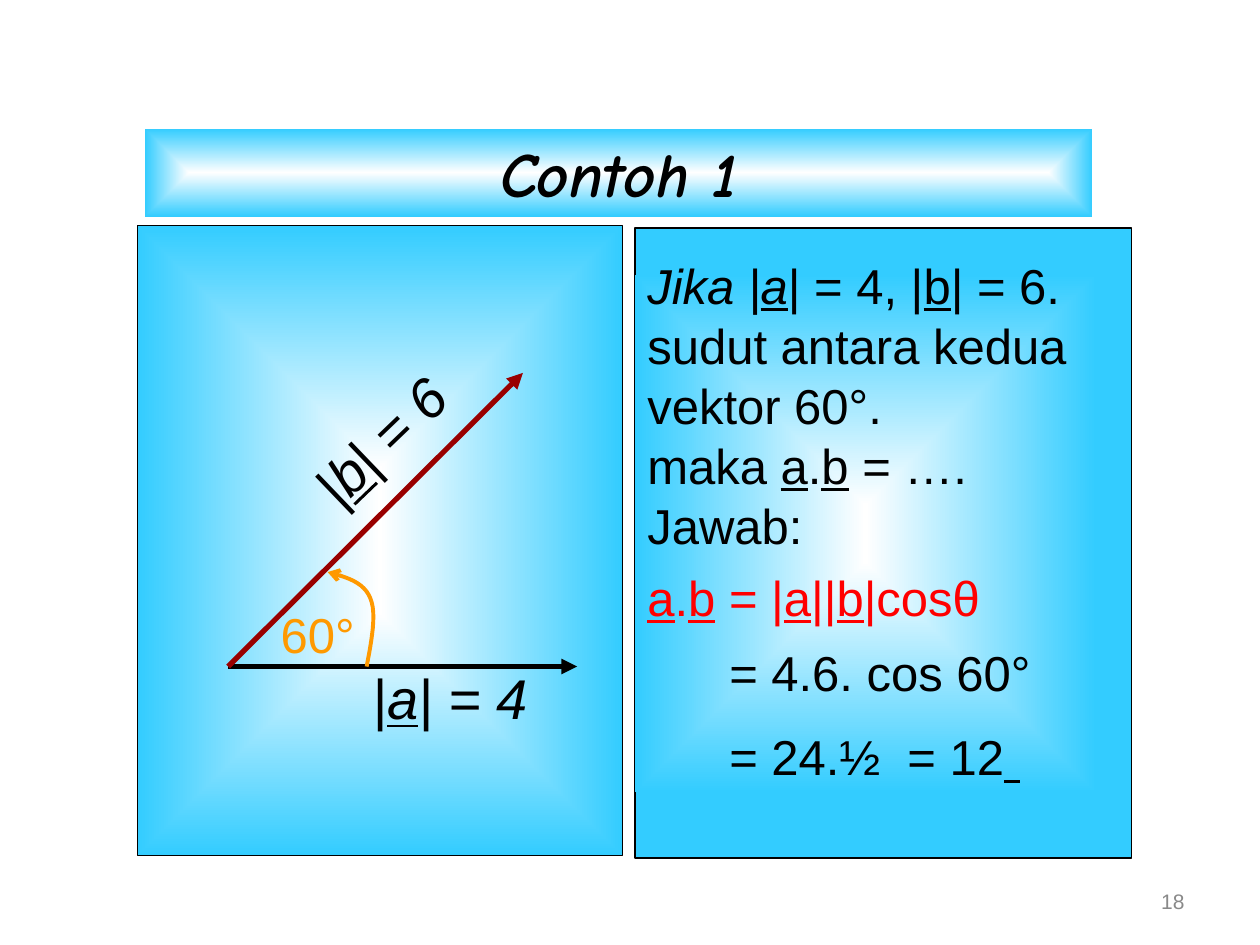
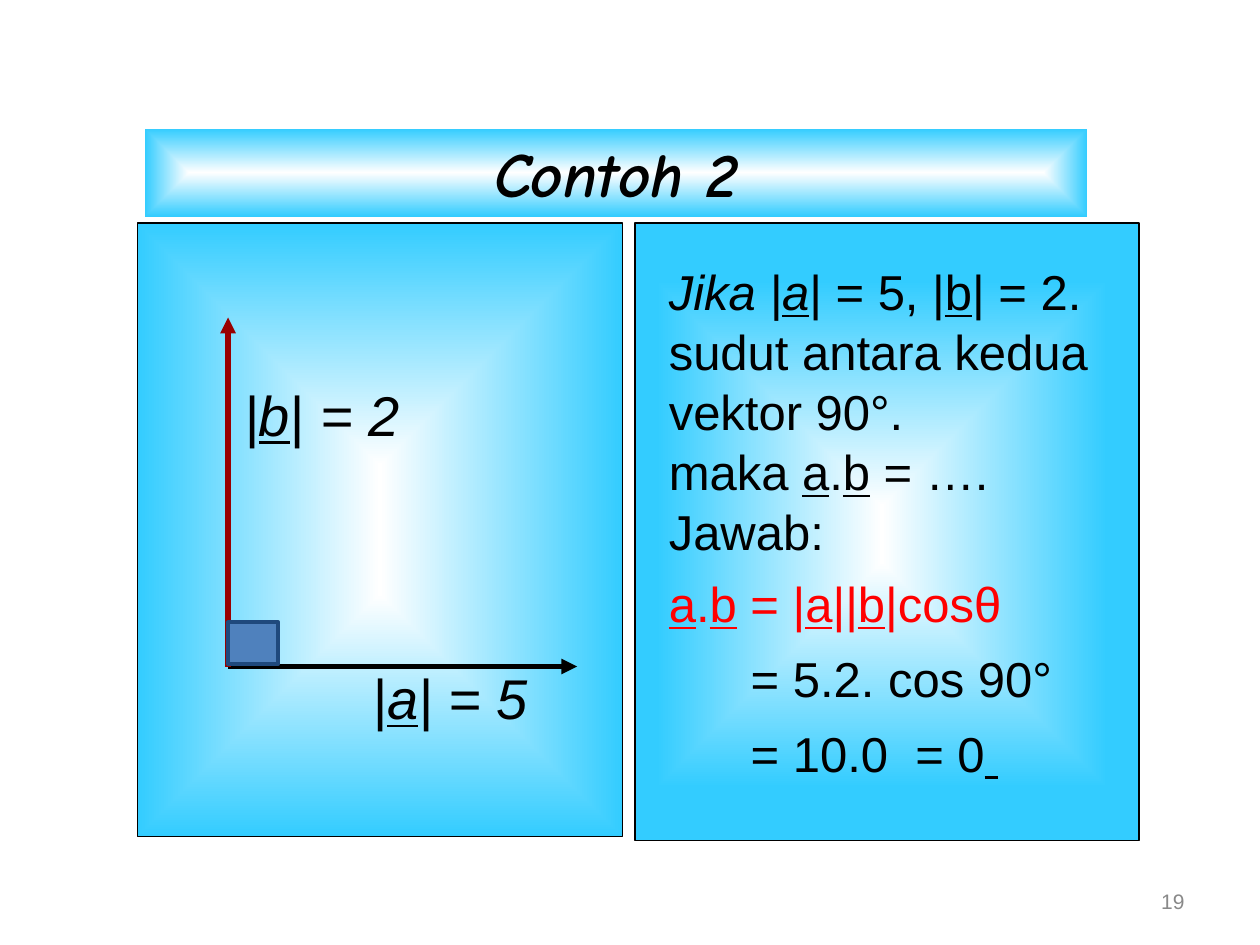
from lxml import etree
from pptx import Presentation
from pptx.dml.color import RGBColor
from pptx.enum.shapes import MSO_CONNECTOR as LINE, MSO_SHAPE as SHAPE
from pptx.enum.text import MSO_ANCHOR as ANCHOR, MSO_AUTO_SIZE as AUTO, PP_ALIGN as ALIGN
from pptx.oxml import parse_xml
from pptx.oxml.ns import nsdecls, qn
from pptx.util import Inches, Pt

BLACK = RGBColor(0x00, 0x00, 0x00)
WHITE = RGBColor(0xFF, 0xFF, 0xFF)
SKY = RGBColor(0x33, 0xCC, 0xFF)
MAROON = RGBColor(0x99, 0x00, 0x00)
ORANGE = RGBColor(0xFF, 0x99, 0x00)
RED = RGBColor(0xFF, 0x00, 0x00)
GRAY = RGBColor(0x89, 0x89, 0x89)
BLUE = RGBColor(0x4F, 0x81, 0xBD)
NAVY = RGBColor(0x1F, 0x49, 0x7D)

BODY_FONT = "Arial"
TITLE_FONT = "Comic Neue"
ORIGIN = (1.81, 5.29)
STEP_INDENT = 0.65


def bezier(p0, p1, p2, p3, steps=12):
    """Points along a cubic curve, without its start."""
    for i in range(1, steps + 1):
        t = i / steps
        u = 1 - t
        yield tuple(u**3 * a + 3 * u * u * t * b + 3 * u * t * t * c + t**3 * d
                    for a, b, c, d in zip(p0, p1, p2, p3))


class Deck:
    def __init__(self):
        self.prs = Presentation()
        self.prs.slide_width, self.prs.slide_height = Inches(10), Inches(7.5)
        self.slide = None

    # Frame of a slide
    def new_slide(self, title, title_width, number):
        self.slide = self.prs.slides.add_slide(self.prs.slide_layouts[5])
        sp = self.slide.shapes.title
        sp.left, sp.top = Inches(1.15), Inches(1.02)
        sp.width, sp.height = Inches(title_width), Inches(0.7)
        self.glow(sp)
        tf = self.frame(sp)
        tf.text = title
        p = tf.paragraphs[0]
        p.alignment = ALIGN.CENTER
        self.style(p.runs[0], 36, BLACK, TITLE_FONT)
        p.runs[0].font.bold = p.runs[0].font.italic = True
        tf = self.label(str(number), (7.17, 6.95, 2.33, 0.4), 12, GRAY)
        tf.vertical_anchor = ANCHOR.MIDDLE
        tf.paragraphs[0].alignment = ALIGN.RIGHT

    # Text
    def frame(self, sp):
        tf = sp.text_frame
        tf.word_wrap, tf.auto_size = True, AUTO.NONE
        tf.vertical_anchor = ANCHOR.TOP
        return tf

    def style(self, r, size, color, font=BODY_FONT):
        r.font.name, r.font.size, r.font.color.rgb = font, Pt(size), color

    def add_runs(self, p, text, size, color):
        """Fill a paragraph; *...* is italic and _..._ is underlined."""
        for i, part in enumerate(text.split("*")):
            for j, piece in enumerate(part.split("_")):
                if piece:
                    r = p.add_run()
                    r.text = piece
                    self.style(r, size, color)
                    r.font.italic, r.font.underline = i % 2 == 1, j % 2 == 1

    def label(self, text, box, size=32, color=BLACK, rotation=0):
        sp = self.slide.shapes.add_textbox(*map(Inches, box))
        sp.rotation = rotation
        tf = self.frame(sp)
        self.add_runs(tf.paragraphs[0], text, size, color)
        return tf

    def solution(self, box, question, steps, last_gap=17.5, tail_size=28):
        tf = self.frame(self.rect(box))
        lines = [(text, BLACK, 0.5, 0) for text in question]
        lines.append(("_a_._b_ = |_a_||_b_|cosθ", RED, 0.75, 0))
        lines += [(text, BLACK, 0.75, STEP_INDENT) for text in steps]
        for i, (text, color, spacing, indent) in enumerate(lines):
            p = tf.add_paragraph() if i else tf.paragraphs[0]
            p.alignment, p.line_spacing = ALIGN.LEFT, spacing
            if i:
                p.space_before = Pt(17.5)
            if indent:
                p._p.get_or_add_pPr().set("marL", str(Inches(indent)))
            self.add_runs(p, text, 28, color)
        p.space_before = Pt(last_gap)
        p.runs[-1].font.size = Pt(tail_size)

    # Shapes
    def glow(self, sp):
        sp.fill.solid()
        stops = "".join(f'<a:gs pos="{pos}"><a:srgbClr val="{color}"/></a:gs>'
                        for pos, color in ((0, WHITE), (100000, SKY)))
        grad = parse_xml(
            f'<a:gradFill {nsdecls("a")} rotWithShape="1"><a:gsLst>{stops}</a:gsLst>'
            '<a:path path="rect"><a:fillToRect l="50000" t="50000" r="50000" b="50000"/>'
            '</a:path></a:gradFill>')
        spPr = sp.element.spPr
        spPr.replace(spPr.find(qn("a:solidFill")), grad)

    def rect(self, box, fill=None, line=None, width=0.75):
        """Rectangle with a plain fill, or the glow when none is given."""
        sp = self.slide.shapes.add_shape(SHAPE.RECTANGLE, *map(Inches, box))
        sp.shadow.inherit = False
        if fill is None:
            self.glow(sp)
        else:
            sp.fill.solid()
            sp.fill.fore_color.rgb = fill
        if line is None:
            sp.line.fill.background()
        else:
            sp.line.color.rgb, sp.line.width = line, Pt(width)
        return sp

    def arrowhead(self, sp, kind):
        ln = sp.line._get_or_add_ln()
        etree.SubElement(ln, qn("a:tailEnd"), type=kind)

    def vector(self, end, color):
        sp = self.slide.shapes.add_connector(
            LINE.STRAIGHT, *map(Inches, ORIGIN + end))
        sp.line.color.rgb, sp.line.width = color, Pt(3)
        self.arrowhead(sp, "triangle")
        etree.SubElement(sp.element.spPr, qn("a:effectLst"))

    def angle_arc(self):
        start, middle, end = (2.91, 5.29), (2.94, 4.75), (2.6, 4.54)
        points = [*bezier(start, (2.95, 5.08), (2.99, 4.87), middle),
                  *bezier(middle, (2.89, 4.62), (2.75, 4.58), end)]
        fb = self.slide.shapes.build_freeform(*map(Inches, start))
        fb.add_line_segments([tuple(map(Inches, pt)) for pt in points], close=False)
        sp = fb.convert_to_shape()
        sp.shadow.inherit = False
        sp.fill.background()
        sp.line.color.rgb, sp.line.width = ORANGE, Pt(2.25)
        self.arrowhead(sp, "arrow")

    # Parts of every example
    def example(self, number, title_width, left_panel, right_panel, a, b_end):
        self.new_slide(f"Contoh {number}", title_width, 17 + number)
        self.rect(left_panel, line=BLACK)
        self.rect(right_panel, SKY, BLACK)
        self.vector((4.58, 5.29), BLACK)
        self.vector(b_end, MAROON)
        self.label(f"*|_a_| = {a}*", (2.86, 5.22, 1.63, 0.64))


def question(a, b, angle):
    return [f"*Jika |_a_*| = {a}, |_b_| = {b}.", "sudut antara kedua",
            f"vektor {angle}°.", "maka _a_._b_ = ….", "Jawab:"]


def main():
    deck = Deck()

    # Example 1: vectors at 60°
    deck.example(1, 7.52, (1.09, 1.79, 3.85, 5), (5.04, 1.81, 3.94, 5),
                 4, (4.15, 2.96))
    deck.label("60°", (2.13, 4.75, 0.83, 0.57), 28, ORANGE)
    deck.angle_arc()
    deck.solution((5.04, 2.18, 3.66, 4.11), question(4, 6, 60),
                  ["= 4.6. cos 60°", "= 24.½  = 12_ _"], last_gap=20, tail_size=32)
    deck.label("*|_b_| = 6*", (2.28, 3.11, 1.62, 0.64), rotation=316.2)

    # Example 2: perpendicular vectors
    deck.example(2, 7.48, (1.09, 1.77, 3.85, 4.87), (5.04, 1.77, 4, 4.9),
                 5, (1.81, 2.52))
    deck.solution((5.21, 2.23, 3.58, 4.02), question(5, 2, 90),
                  ["= 5.2. cos 90°", "= 10.0  = 0_ _"])
    deck.label("*|_b_| = 2*", (1.84, 2.97, 1.63, 0.64))
    deck.rect((1.81, 4.94, 0.4, 0.33), BLUE, NAVY, 2.25)

    deck.prs.save("out.pptx")


if __name__ == "__main__":
    main()
